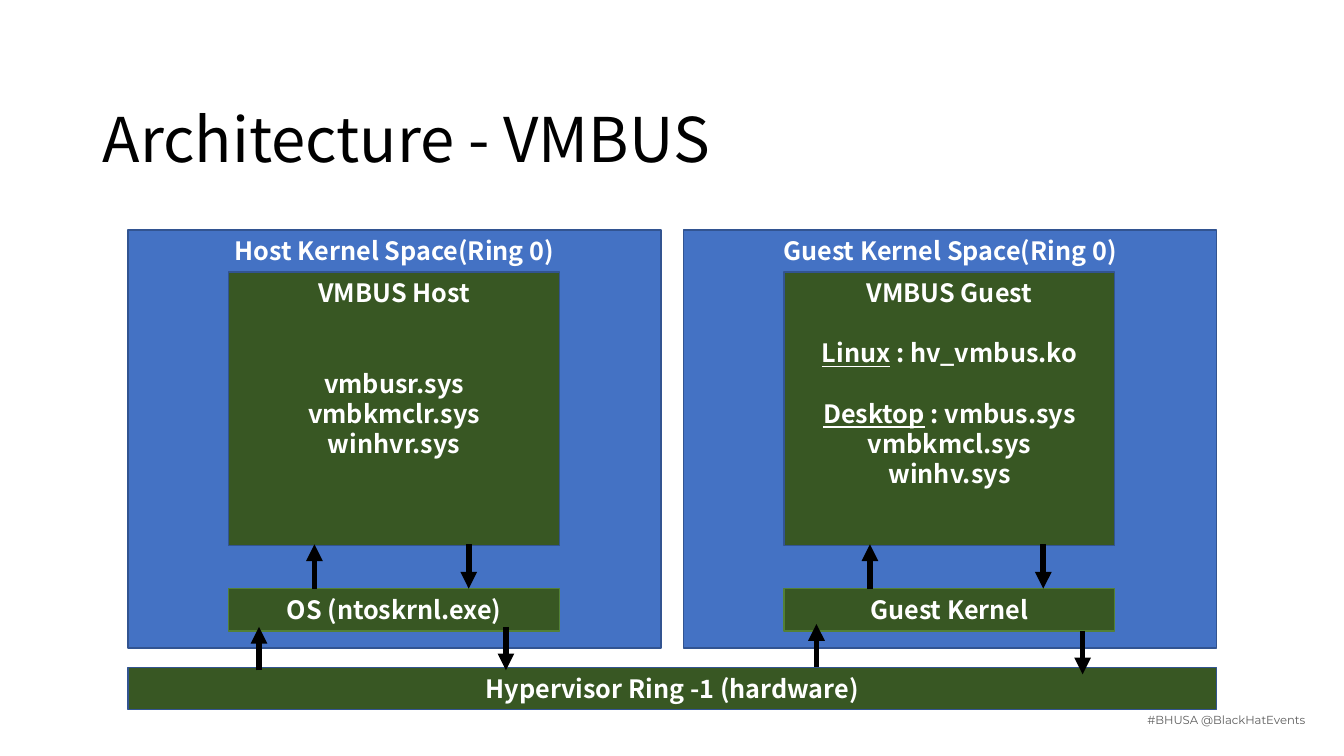
from dataclasses import dataclass

from lxml.etree import SubElement
from pptx import Presentation
from pptx.dml.color import RGBColor
from pptx.enum.shapes import MSO_CONNECTOR as Connector, MSO_SHAPE as Shape
from pptx.enum.text import MSO_ANCHOR as Anchor, MSO_AUTO_SIZE as AutoSize, PP_ALIGN as Align
from pptx.oxml.ns import qn
from pptx.util import Pt


@dataclass(frozen=True)
class Theme:
    font: str = "Noto Sans CJK SC"
    footer_font: str = "Montserrat"
    black: str = "000000"
    white: str = "FFFFFF"
    gray: str = "5E5E5E"
    blue: str = "4472C4"
    green: str = "385723"
    blue_edge: str = "325491"
    green_edge: str = "538035"
    title_size: float = 44
    label_size: float = 18
    footer_size: float = 8.3
    edge_width: float = 1
    arrow_width: float = 4


def add_text(para, text, font, size, color, bold=False, underline=False):
    span = para.add_run()
    span.text = text
    span.font.name = font
    span.font.size = Pt(size)
    span.font.bold = bold
    span.font.underline = underline
    span.font.color.rgb = RGBColor.from_string(color)


class Diagram:
    def __init__(self, page, theme):
        self.page = page
        self.theme = theme

    def title(self, text, left, top, width, height):
        theme = self.theme
        box = self.page.shapes.title
        box.left, box.top, box.width, box.height = map(Pt, (left, top, width, height))
        frame = box.text_frame
        frame.auto_size = AutoSize.NONE
        frame.word_wrap = True
        frame.vertical_anchor = Anchor.MIDDLE
        para = frame.paragraphs[0]
        para.alignment = Align.LEFT
        para.line_spacing = 0.9
        add_text(para, text, theme.font, theme.title_size, theme.black)

    def footer(self, text, left, top, width, height):
        theme = self.theme
        box = self.page.shapes.add_textbox(*map(Pt, (left, top, width, height)))
        frame = box.text_frame
        frame.word_wrap = False
        frame.auto_size = AutoSize.SHAPE_TO_FIT_TEXT
        frame.margin_right = Pt(9.4)
        para = frame.paragraphs[0]
        para.alignment = Align.RIGHT
        add_text(para, text, theme.footer_font, theme.footer_size, theme.gray)

    def block(self, lines, left, top, width, height, fill, edge, anchor=Anchor.MIDDLE):
        theme = self.theme
        box = self.page.shapes.add_shape(Shape.RECTANGLE, *map(Pt, (left, top, width, height)))
        box.shadow.inherit = False
        box.fill.solid()
        box.fill.fore_color.rgb = RGBColor.from_string(fill)
        box.line.color.rgb = RGBColor.from_string(edge)
        box.line.width = Pt(theme.edge_width)
        frame = box.text_frame
        frame.word_wrap = True
        frame.vertical_anchor = anchor
        for index, (gap, system, text) in enumerate(lines):
            para = frame.add_paragraph() if index else frame.paragraphs[0]
            para.alignment = Align.CENTER
            if gap:
                para.space_before = Pt(gap)
            style = dict(font=theme.font, size=theme.label_size, color=theme.white, bold=True)
            if system:
                add_text(para, system, underline=True, **style)
            add_text(para, text, **style)

    def arrow(self, x, start, end):
        line = self.page.shapes.add_connector(
            Connector.STRAIGHT, Pt(x), Pt(start), Pt(x), Pt(end))
        line.line.color.rgb = RGBColor.from_string(self.theme.black)
        line.line.width = Pt(self.theme.arrow_width)
        SubElement(line.line._get_or_add_ln(), qn("a:tailEnd"), type="triangle")
        SubElement(line._element.spPr, qn("a:effectLst"))


SPACE_LEFT, SPACE_TOP = 91.4, 164.2
SPACE_STEP = 396.7
CORE_INSET, CORE_WIDTH = 72, 236.2
BAR_HEIGHT = 30.2
BUS_TOP, BUS_HEIGHT = 194.4, 195.1
KERNEL_TOP = 420.5
HYPERVISOR_TOP = 476.6
LINE_GAP = 21.6

SIDES = [
    ("Host Kernel Space(Ring 0)", "OS (ntoskrnl.exe)", [
        (0, "", "VMBUS Host"),
        (2 * LINE_GAP, "", "vmbusr.sys"),
        (0, "", "vmbkmclr.sys"),
        (0, "", "winhvr.sys"),
    ]),
    ("Guest Kernel Space(Ring 0)", "Guest Kernel", [
        (0, "", "VMBUS Guest"),
        (LINE_GAP, "Linux", " : hv_vmbus.ko"),
        (LINE_GAP, "Desktop", " : vmbus.sys"),
        (0, "", "vmbkmcl.sys"),
        (0, "", "winhv.sys"),
    ]),
]
BUS_ARROWS = [(224.6, 334.8), (621.4, 745.2)]
HYPERVISOR_ARROWS = [
    (361.4, 447.8, 478.8),
    (773.3, 450.7, 481.7),
    (185, 478.8, 447.8),
    (583.2, 476.6, 445.7),
]


def main():
    theme = Theme()
    deck = Presentation()
    deck.slide_width, deck.slide_height = Pt(960), Pt(540)
    page = deck.slides.add_slide(deck.slide_layouts[5])
    diagram = Diagram(page, theme)

    diagram.footer("#BHUSA @BlackHatEvents", 797, 505.4, 144.7, 17.3)
    diagram.title("Architecture - VMBUS", 66.2, 49.7, 828, 104.4)
    diagram.block([(0, "", "Hypervisor Ring -1 (hardware)")], SPACE_LEFT, HYPERVISOR_TOP,
                  777.6, BAR_HEIGHT, theme.green, theme.blue_edge)

    for index, (space, kernel, bus_lines) in enumerate(SIDES):
        left = SPACE_LEFT + index * SPACE_STEP
        core = left + CORE_INSET
        diagram.block([(0, "", space)], left, SPACE_TOP, 380.9, 298.8,
                      theme.blue, theme.blue_edge, Anchor.TOP)
        diagram.block([(0, "", kernel)], core, KERNEL_TOP, CORE_WIDTH, BAR_HEIGHT,
                      theme.green, theme.green_edge)
        diagram.block(bus_lines, core, BUS_TOP, CORE_WIDTH, BUS_HEIGHT,
                      theme.green, theme.blue_edge, Anchor.TOP)

    for up, down in BUS_ARROWS:
        diagram.arrow(up, KERNEL_TOP, 388.8)
        diagram.arrow(down, 388.8, KERNEL_TOP)
    for x, start, end in HYPERVISOR_ARROWS:
        diagram.arrow(x, start, end)

    deck.save("out.pptx")


if __name__ == "__main__":
    main()
